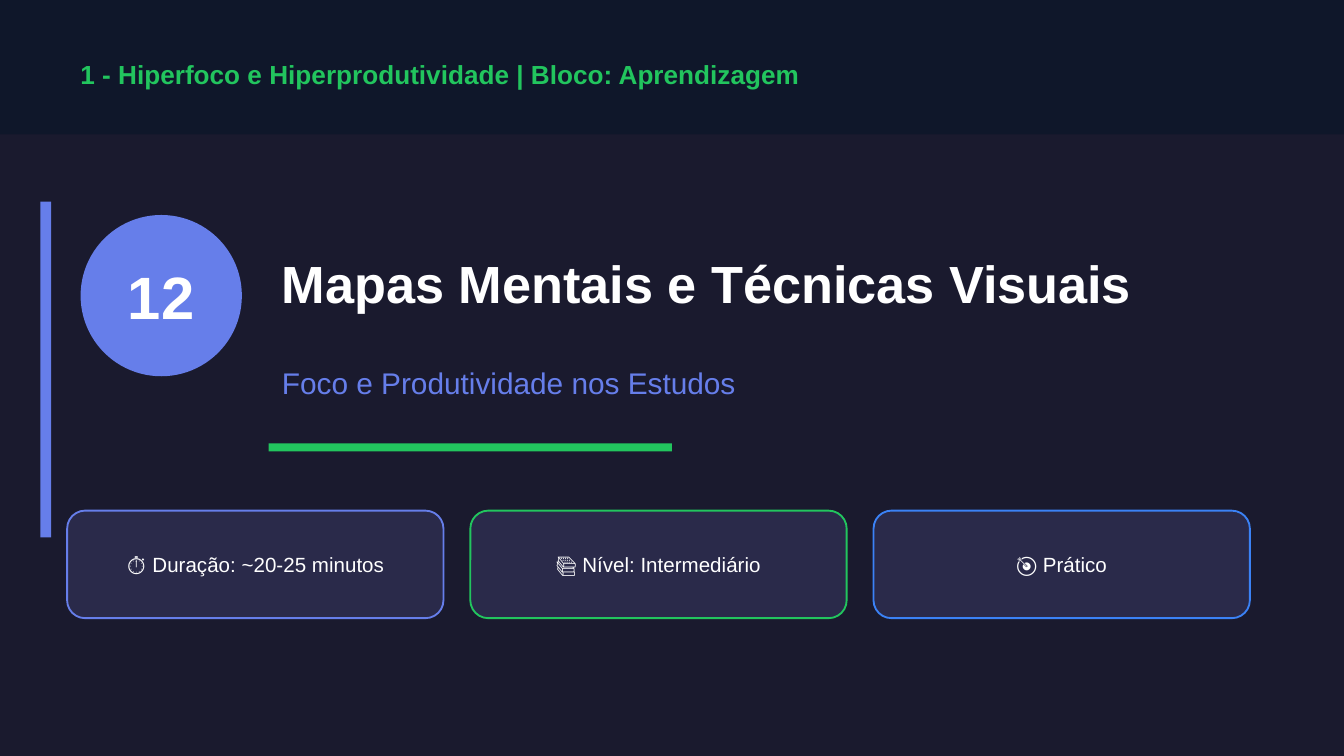
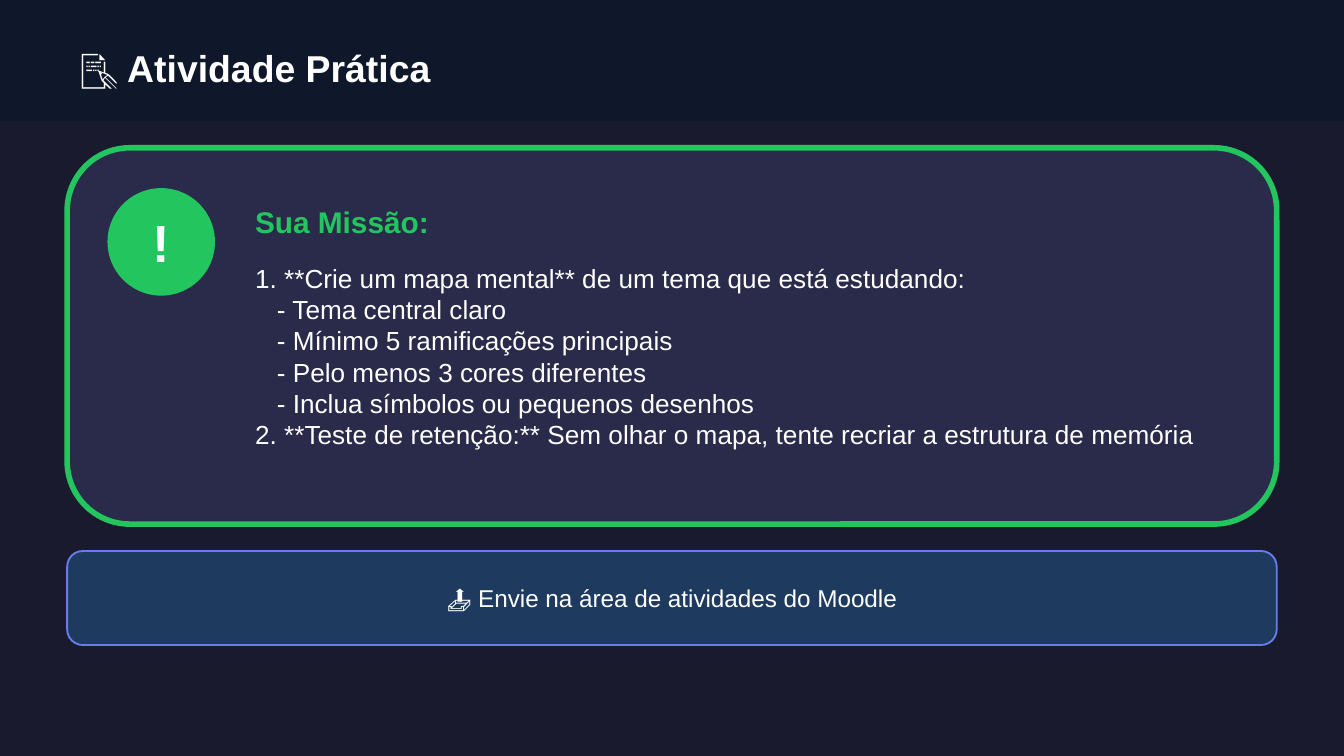
from pptx import Presentation
from pptx.dml.color import RGBColor
from pptx.enum.shapes import MSO_SHAPE
from pptx.enum.text import MSO_ANCHOR, PP_ALIGN
from pptx.util import Pt

BACK, BAND, CARD, NOTE = "1A1A2E", "0F172A", "2A2A4A", "1E3A5F"
LILAC, GREEN, BLUE, WHITE = "667EEA", "22C55E", "3B82F6", "FFFFFF"
WIDE, HIGH, EDGE, FULL = 720, 405, 36, 648


def tint(code):
    """Turn a hex string into a colour."""
    return RGBColor.from_string(code)


class Deck:
    """Hold the style and the current slide."""

    def __init__(self):
        """Start a deck of the right size."""
        self.file = Presentation()
        self.file.slide_width, self.file.slide_height = Pt(WIDE), Pt(HIGH)
        self.face = "Arial"
        self.slide = None

    def page(self, band):
        """Add a slide with a dark top band."""
        self.slide = self.file.slides.add_slide(self.file.slide_layouts[6])
        fill = self.slide.background.fill
        fill.solid()
        fill.fore_color.rgb = tint(BACK)
        self.block((0, 0, WIDE, band), BAND)

    def block(self, box, fill, kind=MSO_SHAPE.RECTANGLE, line=None, thick=1):
        """Add a filled shape, outlined if a line colour is given."""
        form = self.slide.shapes.add_shape(kind, *map(Pt, box))
        form.shadow.inherit = False
        form.fill.solid()
        form.fill.fore_color.rgb = tint(fill)
        if line:
            form.line.color.rgb = tint(line)
            form.line.width = Pt(thick)
        else:
            form.line.fill.background()

    def text(self, box, rows, size, ink=WHITE, bold=False, mid=False, top=False):
        """Add a text box; each row is a pair of words and indent."""
        frame = self.slide.shapes.add_textbox(*map(Pt, box)).text_frame
        look = {"word_wrap": True,
                "vertical_anchor": MSO_ANCHOR.TOP if top else MSO_ANCHOR.MIDDLE}
        for name, value in look.items():
            setattr(frame, name, value)
        if isinstance(rows, str):
            rows = [(rows, 0)]
        for spot, (words, shift) in enumerate(rows):
            para = frame.add_paragraph() if spot else frame.paragraphs[0]
            para.alignment = PP_ALIGN.CENTER if mid else PP_ALIGN.LEFT
            if shift:
                para._p.get_or_add_pPr().set("marL", str(Pt(shift)))
            run = para.add_run()
            run.text = words
            for name, value in {"name": self.face, "size": Pt(size), "bold": bold}.items():
                setattr(run.font, name, value)
            run.font.color.rgb = tint(ink)

    def badge(self, left, top, size, fill, mark, pad, tall, font):
        """Add a disc with a bold mark on it."""
        self.block((left, top, size, size), fill, MSO_SHAPE.OVAL)
        self.text((left, top + pad, size, tall), mark, font, bold=True, mid=True)

    def card(self, box, fill, line, words, size, tall):
        """Add a rounded card with one centred label."""
        left, top, wide, _ = box
        self.block(box, fill, MSO_SHAPE.ROUNDED_RECTANGLE, line)
        self.text((left, top + 10.8, wide, tall), words, size, mid=True)


def cover(deck):
    """Build the lesson cover."""
    deck.page(72)
    deck.text((EDGE, 25.2, FULL, 28.8),
              "1 - Hiperfoco e Hiperprodutividade | Bloco: Aprendizagem", 14, GREEN, True)
    deck.block((21.6, 108, 5.76, 180), LILAC)
    deck.badge(43.2, 115.2, 86.4, LILAC, "12", 18, 50.4, 32)
    deck.text((144, 115.2, 540, 72), "Mapas Mentais e Técnicas Visuais", 28, bold=True)
    deck.text((144, 187.2, 540, 36), "Foco e Produtividade nos Estudos", 16, LILAC)
    deck.block((144, 237.6, 216, 4.32), GREEN)
    facts = [("⏱ Duração: ~20-25 minutos", LILAC),
             ("📚 Nível: Intermediário", GREEN),
             ("🎯 Prático", BLUE)]
    for spot, (words, line) in enumerate(facts):
        deck.card((EDGE + 216 * spot, 273.6, 201.6, 57.6), CARD, line, words, 11, 36)


def task(deck):
    """Build the practice slide."""
    deck.page(64.8)
    deck.text((EDGE, 18, FULL, 36), "📝 Atividade Prática", 20, bold=True)
    deck.block((EDGE, 79.2, FULL, 201.6), CARD, MSO_SHAPE.ROUNDED_RECTANGLE, GREEN, 3)
    deck.badge(57.6, 100.8, 57.6, GREEN, "!", 7.2, 43.2, 28)
    deck.text((129.6, 100.8, 540, 36), "Sua Missão:", 16, GREEN, True)
    steps = [("1. **Crie um mapa mental** de um tema que está estudando:", 0),
             ("- Tema central claro", 11.67),
             ("- Mínimo 5 ramificações principais", 11.67),
             ("- Pelo menos 3 cores diferentes", 11.67),
             ("- Inclua símbolos ou pequenos desenhos", 11.67),
             ("2. **Teste de retenção:** Sem olhar o mapa, "
              "tente recriar a estrutura de memória", 0)]
    deck.text((129.6, 136.8, 532.8, 129.6), steps, 14, top=True)
    deck.card((EDGE, 295.2, FULL, 50.4), NOTE, LILAC,
              "📤 Envie na área de atividades do Moodle", 13, 28.8)


def main():
    """Build and save the deck."""
    deck = Deck()
    cover(deck)
    task(deck)
    deck.file.save("out.pptx")


if __name__ == "__main__":
    main()
